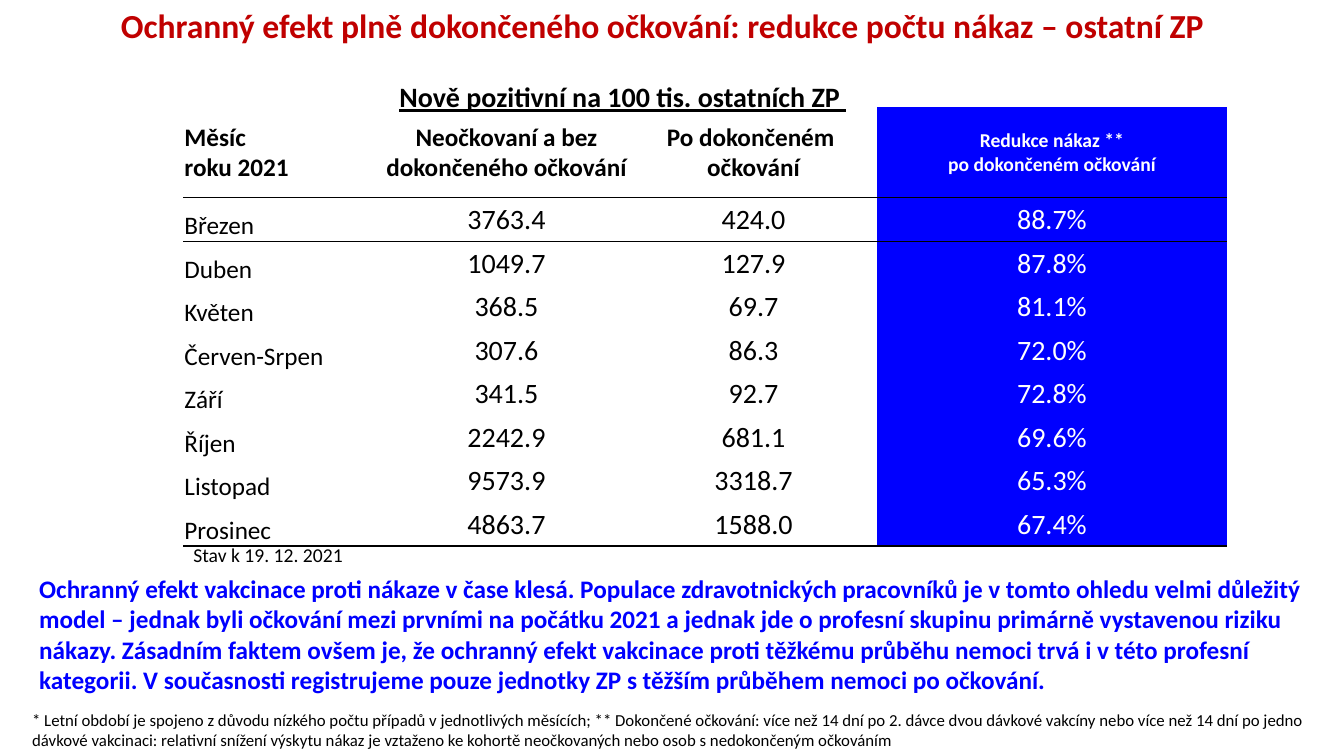
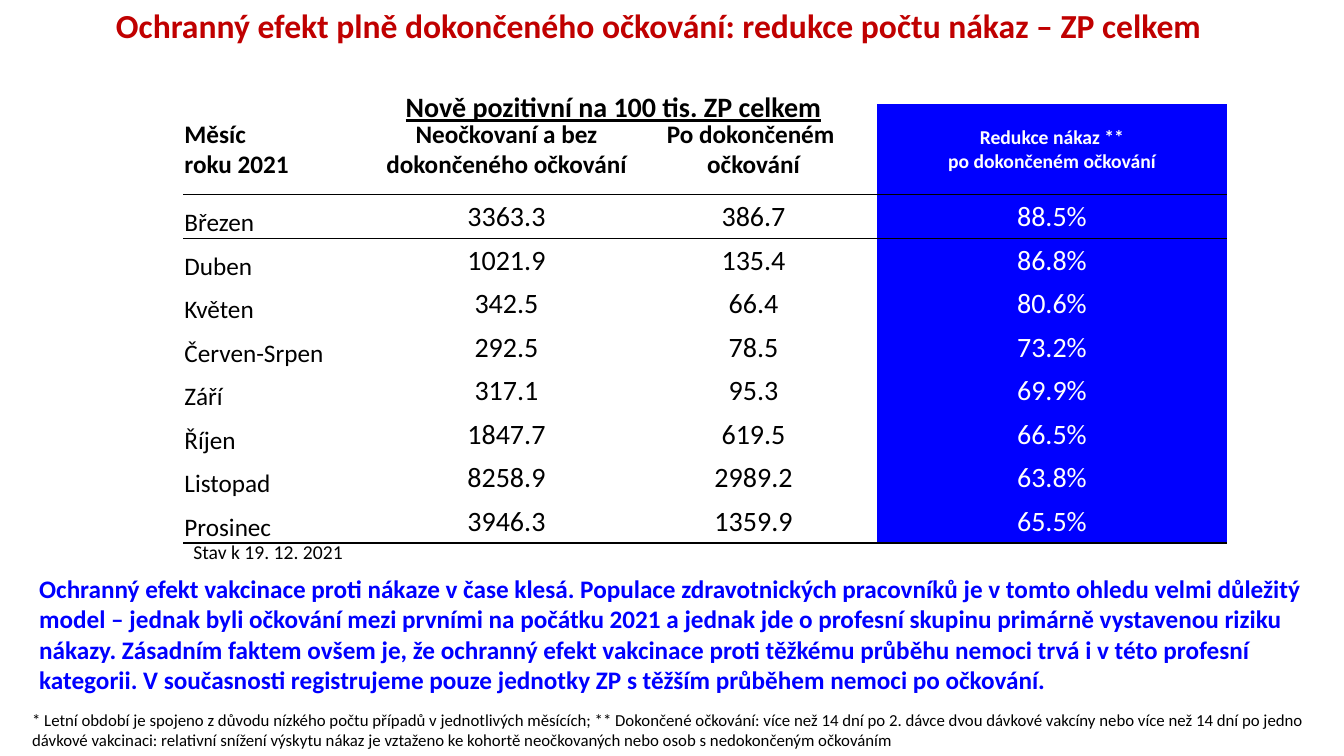
from lxml.etree import SubElement
from pptx import Presentation
from pptx.dml.color import RGBColor
from pptx.enum.text import MSO_ANCHOR as Anchor, MSO_AUTO_SIZE as AutoSize, PP_ALIGN as Align
from pptx.oxml import parse_xml
from pptx.oxml.ns import nsdecls, qn
from pptx.util import Inches, Pt

RED = RGBColor(0xC0, 0x00, 0x00)
BLUE = RGBColor(0x00, 0x00, 0xFF)
BLACK = RGBColor(0x00, 0x00, 0x00)
WHITE = RGBColor(0xFF, 0xFF, 0xFF)
FONT = "Calibri"
NO_STYLE_NO_GRID = "{2D5ABB26-0587-4C30-8999-92F81FD0307C}"

TITLE_START = "Ochranný efekt plně dokončeného očkování: redukce počtu nákaz – "
CONCLUSION = (
    "Ochranný efekt vakcinace proti nákaze v čase klesá. Populace zdravotnických pracovníků "
    "je v tomto ohledu velmi důležitý model – jednak byli očkování mezi prvními na počátku 2021 "
    "a jednak jde o profesní skupinu primárně vystavenou riziku nákazy. Zásadním faktem ovšem je, "
    "že ochranný efekt vakcinace proti těžkému průběhu nemoci trvá i v této profesní kategorii. "
    "V současnosti registrujeme pouze jednotky ZP s těžším průběhem nemoci po očkování."
)
FOOTNOTE = (
    "* Letní období je spojeno z důvodu nízkého počtu případů v jednotlivých měsících; "
    "** Dokončené očkování: více než 14 dní po 2. dávce dvou dávkové vakcíny nebo více než "
    "14 dní po jedno dávkové vakcinaci: relativní snížení výskytu nákaz je vztaženo ke kohortě "
    "neočkovaných nebo osob s nedokončeným očkováním"
)
HEADERS = [
    "Měsíc\nroku 2021",
    "Neočkovaní a bez dokončeného očkování",
    "Po dokončeném \nočkování",
    "Redukce nákaz **\npo dokončeném očkování",
]
MONTHS = ["Březen", "Duben", "Květen", "Červen-Srpen", "Září", "Říjen", "Listopad", "Prosinec"]

GROUPS = [
    {
        "title": "ostatní ZP",
        "subtitle": "Nově pozitivní na 100 tis. ostatních ZP ",
        "subtitle_box": (28.58, 9.87, 35.56, 5.87),
        "table_top": 8.4,
        "unvaccinated": ["3763.4", "1049.7", "368.5", "307.6", "341.5", "2242.9", "9573.9", "4863.7"],
        "vaccinated": ["424.0", "127.9", "69.7", "86.3", "92.7", "681.1", "3318.7", "1588.0"],
        "reduction": ["88.7%", "87.8%", "81.1%", "72.0%", "72.8%", "69.6%", "65.3%", "67.4%"],
    },
    {
        "title": "ZP celkem ",
        "subtitle": "Nově pozitivní na 100 tis. ZP celkem",
        "subtitle_box": (29.03, 11.2, 33.23, 5.87),
        "table_top": 8,
        "unvaccinated": ["3363.3", "1021.9", "342.5", "292.5", "317.1", "1847.7", "8258.9", "3946.3"],
        "vaccinated": ["386.7", "135.4", "66.4", "78.5", "95.3", "619.5", "2989.2", "1359.9"],
        "reduction": ["88.5%", "86.8%", "80.6%", "73.2%", "69.9%", "66.5%", "63.8%", "65.5%"],
    },
]

presentation = Presentation()
presentation.slide_width = Inches(13.33)
presentation.slide_height = Inches(7.5)
COLUMN = presentation.slide_width / 100
ROW = presentation.slide_height / 100

TABLE_LEFT, TABLE_HEIGHT, HEADER_HEIGHT = 13.65, 63.87, 12
COLUMN_WIDTHS = [14.85, 18.38, 18.38, 26.03]
ROW_HEIGHT = (TABLE_HEIGHT - HEADER_HEIGHT) / (len(MONTHS) + 1)
RULES = {1: "a:lnB", 2: "a:lnT", len(MONTHS) + 1: "a:lnB"}


def place(left, top, width, height):
    return int(left * COLUMN), int(top * ROW), int(width * COLUMN), int(height * ROW)


def write(frame, text, size, color, bold=False, align=Align.LEFT, underline=False):
    frame.word_wrap = True
    for index, line in enumerate(text.split("\n")):
        paragraph = frame.add_paragraph() if index else frame.paragraphs[0]
        paragraph.alignment = align
        run = paragraph.add_run()
        run.text = line
        run.font.name = FONT
        run.font.size = Pt(size)
        run.font.color.rgb = color
        run.font.bold = bold
        run.font.underline = underline


layout = presentation.slide_layouts[5]
layout_title = layout.placeholders[0]
layout_title.left, layout_title.top, layout_title.width, layout_title.height = place(1.65, 0.53, 95.27, 19.33)
layout_title.text_frame.vertical_anchor = Anchor.TOP

for group in GROUPS:
    slide = presentation.slides.add_slide(layout)
    title_frame = slide.shapes.title.text_frame
    title_frame.auto_size = AutoSize.NONE
    write(title_frame, TITLE_START + group["title"], 24, RED, True, Align.CENTER)
    title_frame.paragraphs[0].line_spacing = 0.9

    table_top = group["table_top"]
    texts = [
        (group["subtitle_box"], group["subtitle"], 20, BLACK, True, Align.CENTER, True),
        ((1.65, 93.2, 97.45, 6.67), FOOTNOTE, 12, BLACK),
        ((TABLE_LEFT, table_top + 62.8, 16.58, 4.53), "Stav k 19. 12. 2021", 14, BLACK),
        ((2.18, 75.2, 96.55, 17.47), CONCLUSION, 18, BLUE, True),
    ]
    for box, *content in texts:
        write(slide.shapes.add_textbox(*place(*box)).text_frame, *content)

    rows = [[""] * 4, HEADERS]
    rows += zip(MONTHS, group["unvaccinated"], group["vaccinated"], group["reduction"])
    table_box = place(TABLE_LEFT, table_top, sum(COLUMN_WIDTHS), TABLE_HEIGHT)
    table = slide.shapes.add_table(len(rows), 4, *table_box).table
    table.first_row = False
    table.horz_banding = False
    table._tbl.tblPr.find(qn("a:tableStyleId")).text = NO_STYLE_NO_GRID
    for column, width in zip(table.columns, COLUMN_WIDTHS):
        column.width = int(width * COLUMN)

    for row_index, values in enumerate(rows):
        is_header = row_index == 1
        table.rows[row_index].height = int((HEADER_HEIGHT if is_header else ROW_HEIGHT) * ROW)
        for column_index, value in enumerate(values):
            cell = table.cell(row_index, column_index)
            is_month = column_index == 0
            is_reduction = column_index == 3
            cell.margin_left = cell.margin_right = cell.margin_top = Inches(0.01)
            cell.margin_bottom = 0
            cell.vertical_anchor = Anchor.BOTTOM if is_month and not is_header else Anchor.MIDDLE
            if is_reduction and row_index:
                cell.fill.solid()
                cell.fill.fore_color.rgb = BLUE
            else:
                cell.fill.background()
            if value:
                if is_header:
                    size = 14 if is_reduction else 18
                else:
                    size = 18 if is_month else 20
                color = WHITE if is_reduction else BLACK
                align = Align.LEFT if is_month else Align.CENTER
                write(cell.text_frame, value, size, color, is_header, align)
            if row_index in RULES:
                tag = RULES[row_index]
                border = parse_xml(f'<{tag} {nsdecls("a")} w="{Pt(1)}"/>')
                line_fill = SubElement(border, qn("a:solidFill"))
                SubElement(line_fill, qn("a:srgbClr"), val=str(BLACK))
                cell._tc.get_or_add_tcPr().insert(0, border)
    table.cell(0, 1).merge(table.cell(0, 2))

presentation.save("out.pptx")
